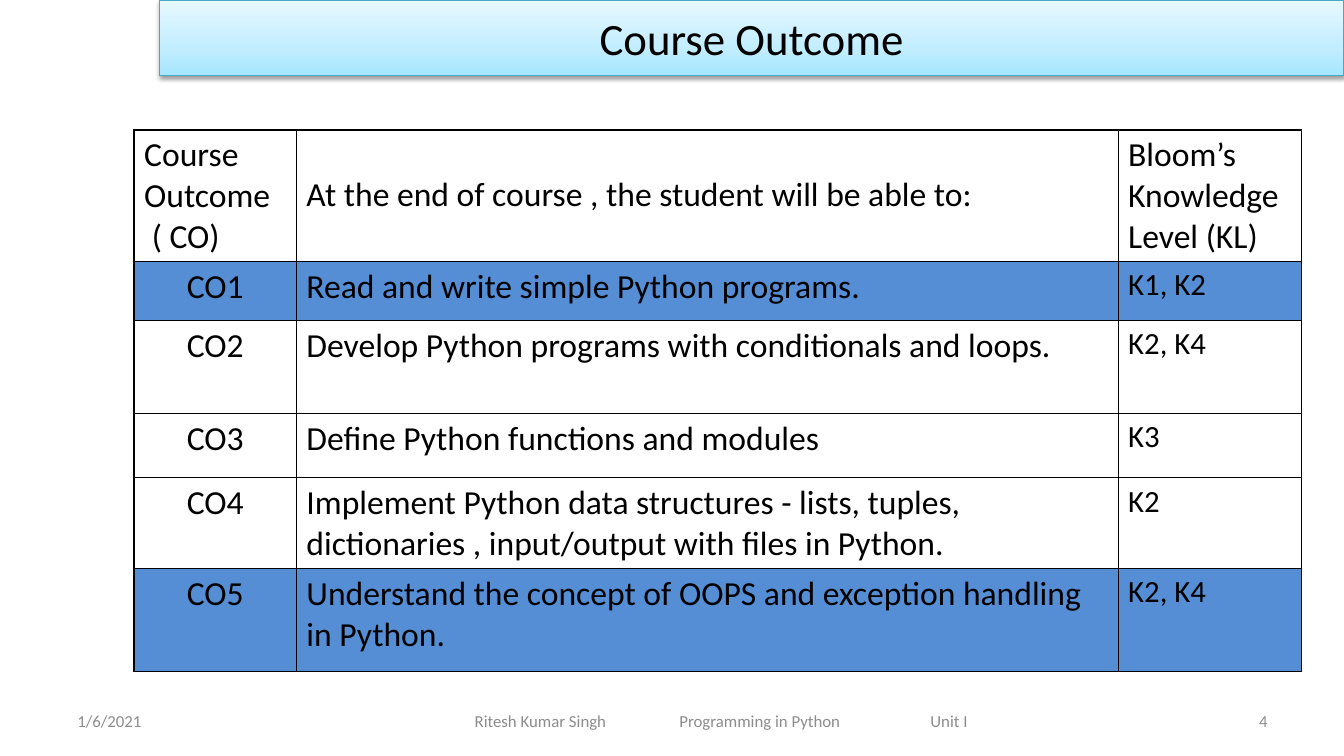
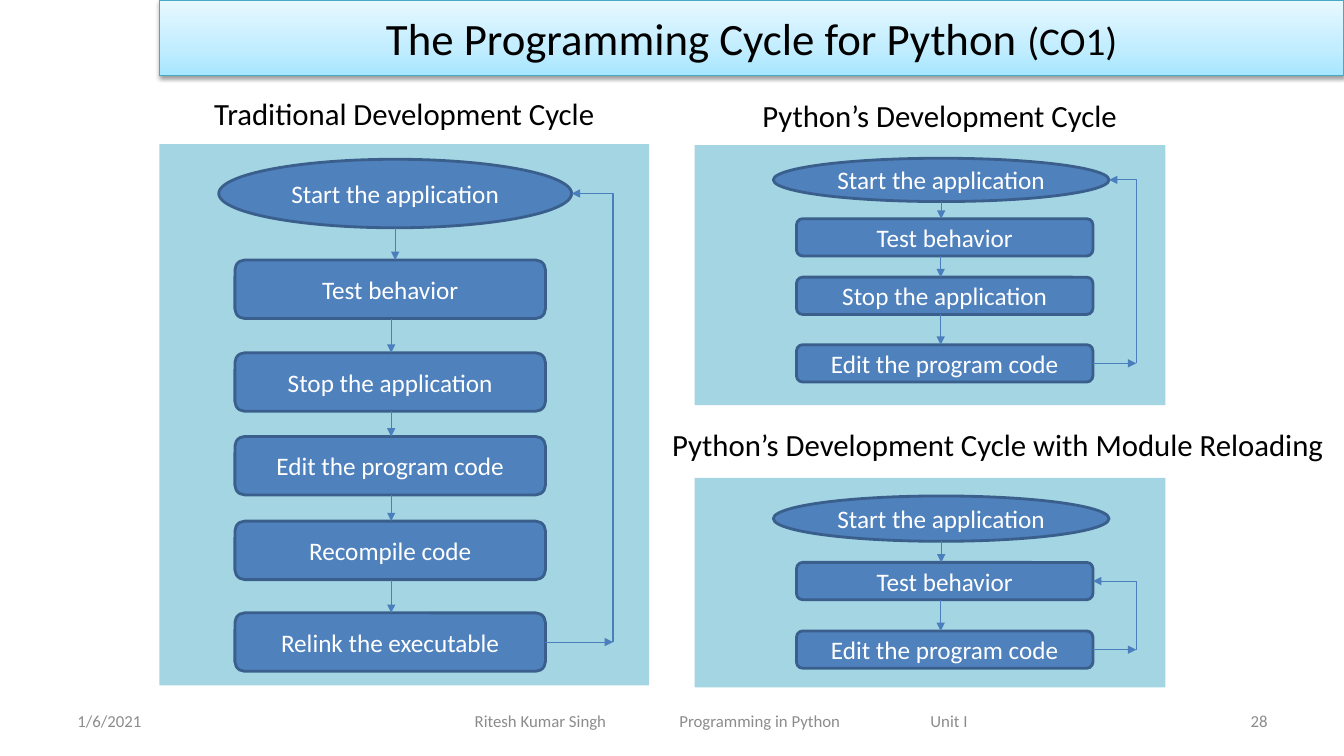
"""Build two course slides: an outcome table and three programming cycles."""
from copy import deepcopy
from lxml.etree import SubElement
from pptx import Presentation
from pptx.dml.color import RGBColor
from pptx.enum.shapes import MSO_CONNECTOR as LINK, MSO_SHAPE as KIND
from pptx.enum.text import MSO_ANCHOR as ANCHOR, PP_ALIGN as ALIGN
from pptx.oxml import parse_xml
from pptx.oxml.ns import nsdecls, qn
from pptx.util import Inches, Pt

FONT = "Calibri"
BLACK, WHITE, GREY = "000000", "FFFFFF", "8C8C8C"
BLUE, EDGE, WIRE = "4F81BD", "3A5F8C", "4B7EBC"
MARK, PANEL, TRIM = "558ED5", "4BACC6", "46AAC5"
GLOW = [(0, "A7E6FF"), (0.35, "C1EDFF"), (1, "E7F8FF")]
LEFT, MID, RIGHT = ALIGN.LEFT, ALIGN.CENTER, ALIGN.RIGHT


def hue(code):
    """Turn a hex string into a colour."""
    return RGBColor.from_string(code)


def write(frame, lines, ink=BLACK, align=LEFT, anchor=ANCHOR.MIDDLE):
    """Fill a frame with paragraphs, each a list of (text, size) runs."""
    frame.word_wrap = True
    frame.vertical_anchor = anchor
    for i, runs in enumerate(lines):
        para = frame.paragraphs[0] if i == 0 else frame.add_paragraph()
        para.alignment = align
        for text, size in runs:
            run = para.add_run()
            run.text = text
            run.font.name = FONT
            run.font.size = Pt(size)
            run.font.color.rgb = hue(ink)


deck = Presentation()
deck.slide_width, deck.slide_height = Inches(13.33), Inches(7.5)

titles = [
    ([("Course Outcome", 32)], "4"),
    ([("The Programming Cycle for Python ", 32), ("(CO1)", 28)], "28"),
]
for title, number in titles:
    slide = deck.slides.add_slide(deck.slide_layouts[6])
    band = slide.shapes.add_shape(
        KIND.RECTANGLE, Inches(1.58), 0, Inches(11.75), Inches(0.75))
    band.shadow.inherit = False
    band.fill.gradient()
    band.fill.gradient_angle = 90
    props = band._element.spPr
    stops = props.find(".//" + qn("a:gsLst"))
    stops.insert(1, deepcopy(stops[0]))
    for stop, (place, code) in zip(band.fill.gradient_stops, GLOW):
        stop.position = place
        stop.color.rgb = hue(code)
    band.line.color.rgb = hue(TRIM)
    band.line.width = Pt(0.75)
    props.find(qn("a:effectLst")).append(parse_xml(
        f'<a:outerShdw {nsdecls("a")} blurRad="{Pt(3.1)}" dist="{Pt(1.6)}" '
        f'dir="5400000" rotWithShape="0"><a:srgbClr val="{BLACK}">'
        '<a:alpha val="38000"/></a:srgbClr></a:outerShdw>'))
    write(band.text_frame, [title], align=MID)

    notes = [
        (0.67, 3.11, "1/6/2021", LEFT),
        (4.61, 5.31, "Ritesh Kumar Singh\tProgramming in Python\tUnit I", LEFT),
        (9.56, 3.11, number, RIGHT),
    ]
    for left, width, text, align in notes:
        foot = slide.shapes.add_textbox(
            Inches(left), Inches(6.95), Inches(width), Inches(0.4))
        write(foot.text_frame, [[(text, 12)]], GREY, align)
        if "\t" in text:
            tabs = SubElement(
                foot.text_frame.paragraphs[0]._p.get_or_add_pPr(), qn("a:tabLst"))
            for stop in (2.03, 4.52):
                SubElement(tabs, qn("a:tab"), pos=str(Inches(stop)), algn="l")

first, second = deck.slides

rows = [
    (1.13, "Course Outcome\n ( CO)",
     "At the end of course , the student will be able to:",
     "Bloom’s Knowledge Level (KL)"),
    (0.59, "CO1", "Read and write simple Python programs.", "K1, K2"),
    (0.92, "CO2", "Develop Python programs with conditionals and loops.", "K2, K4"),
    (0.64, "CO3", "Define Python functions and modules", "K3"),
    (0.88, "CO4", "Implement Python data structures - lists, tuples, "
     "dictionaries , input/output with files in Python.", "K2"),
    (1.02, "CO5", "Understand the concept of OOPS and exception handling "
     "in Python.", "K2, K4"),
]
table = first.shapes.add_table(
    len(rows), 3, Inches(1.33), Inches(1.29), Inches(11.58), Inches(5.18)).table
table.first_row = table.horz_banding = False
for col, width in zip(table.columns, (1.61, 8.15, 1.82)):
    col.width = Inches(width)
for r, (height, *texts) in enumerate(rows):
    table.rows[r].height = Inches(height)
    for c, text in enumerate(texts):
        cell = table.cell(r, c)
        size = 22 if r and c == 2 else 24
        write(cell.text_frame, [[(line, size)] for line in text.split("\n")],
              align=MID if r and c == 0 else LEFT)
        cell.vertical_anchor = ANCHOR.MIDDLE if (r, c) == (0, 1) else ANCHOR.TOP
        if r in (1, 5):
            cell.fill.solid()
            cell.fill.fore_color.rgb = hue(MARK)
        else:
            cell.fill.background()
        for i, side in enumerate("LRTB"):
            cell._tc.get_or_add_tcPr().insert(i, parse_xml(
                f'<a:ln{side} {nsdecls("a")} w="{Pt(1)}"><a:solidFill>'
                f'<a:srgbClr val="{BLACK}"/></a:solidFill></a:ln{side}>'))

start, test, halt, edit = ("Start the application", "Test behavior",
                           "Stop the application", "Edit the program code")
cycles = [
    dict(head="Traditional Development Cycle", spot=(1.58, 0.89, 4.86),
         panel=(1.58, 1.43, 4.86, 5.37), oval=(2.17, 3.5, 0.68),
         box=(2.33, 3.08, 0.58), axis=3.88, rail=6.08, back=0,
         steps=[(start, 1.58), (test, 2.58), (halt, 3.5), (edit, 4.33),
                ("Recompile code", 5.17), ("Relink the executable", 6.08)]),
    dict(head="Python’s Development Cycle", spot=(6.89, 0.91, 4.86),
         panel=(6.89, 1.44, 4.67, 2.58), oval=(7.67, 3.33, 0.43),
         box=(7.9, 2.94, 0.37), axis=9.33, rail=11.27, back=0,
         steps=[(start, 1.57), (test, 2.17), (halt, 2.75), (edit, 3.42)]),
    dict(head="Python’s Development Cycle with Module Reloading",
         spot=(6.45, 4.17, 6.89),
         panel=(6.89, 4.74, 4.67, 2.08), oval=(7.67, 3.33, 0.45),
         box=(7.9, 2.94, 0.37), axis=9.33, rail=11.27, back=1,
         steps=[(start, 4.92), (test, 5.58), (edit, 6.26)]),
]
shapes = second.shapes
for cycle in cycles:
    left, top, width = cycle["spot"]
    head = shapes.add_textbox(
        Inches(left), Inches(top), Inches(width), Inches(0.47))
    write(head.text_frame, [[(cycle["head"], 22)]], align=MID, anchor=ANCHOR.TOP)

    panel = shapes.add_shape(KIND.RECTANGLE, *map(Inches, cycle["panel"]))
    panel.shadow.inherit = False
    panel.fill.solid()
    panel.fill.fore_color.rgb = hue(PANEL)
    tint = panel._element.spPr.find(".//" + qn("a:srgbClr"))
    SubElement(tint, qn("a:alpha"), val="50000")
    panel.line.fill.background()

    ends, links = [], []
    for i, (text, top) in enumerate(cycle["steps"]):
        left, width, height = cycle["box" if i else "oval"]
        step = shapes.add_shape(
            KIND.ROUNDED_RECTANGLE if i else KIND.OVAL,
            Inches(left), Inches(top), Inches(width), Inches(height))
        step.shadow.inherit = False
        step.fill.solid()
        step.fill.fore_color.rgb = hue(BLUE)
        step.line.color.rgb = hue(EDGE)
        step.line.width = Pt(2)
        write(step.text_frame, [[(text, 18)]], WHITE, MID)
        if i:
            x = left_mid if i == 1 else cycle["axis"]
            links.append(shapes.add_connector(
                LINK.STRAIGHT, Inches(x), Inches(low), Inches(x), Inches(top)))
        left_mid, low = left + width / 2, top + height
        ends.append((left + width, top + height / 2))

    rail, (out, base) = cycle["rail"], ends[-1]
    goal, peak = ends[cycle["back"]]
    links.append(shapes.add_connector(
        LINK.STRAIGHT, Inches(out), Inches(base), Inches(rail), Inches(base)))

    rise, run = base - peak, rail - goal
    x, y = (rail + goal) / 2, (base + peak) / 2
    bend = shapes.add_connector(
        LINK.ELBOW, Inches(x - rise / 2), Inches(y + run / 2),
        Inches(x + rise / 2), Inches(y - run / 2))
    bend._element.spPr.find(qn("a:xfrm")).set("rot", "16200000")
    bend._element.spPr.find(qn("a:prstGeom")).set("prst", "bentConnector2")
    links.append(bend)

    for link in links:
        link.line.color.rgb = hue(WIRE)
        link.line.width = Pt(0.75)
        SubElement(link.line._get_or_add_ln(), qn("a:tailEnd"), type="triangle")
        SubElement(link._element.spPr, qn("a:effectLst"))

deck.save("out.pptx")
